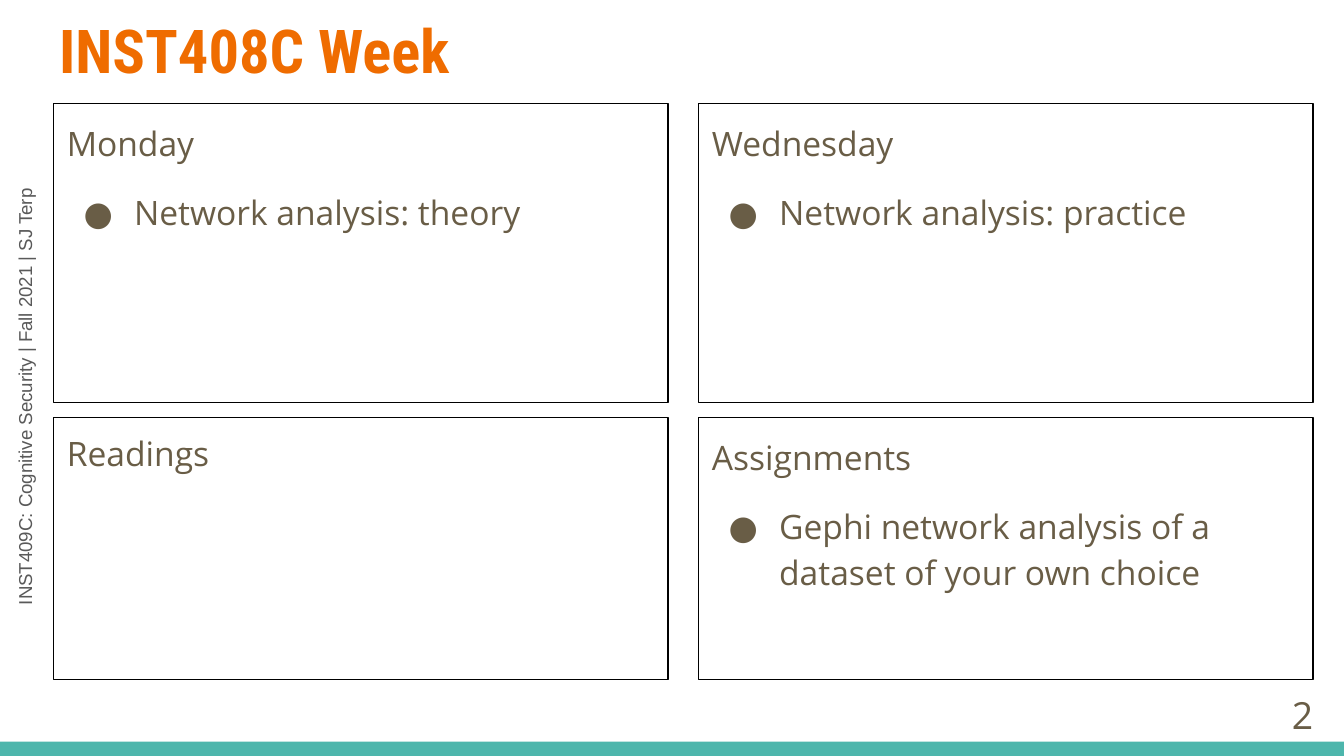
from lxml import etree
from pptx import Presentation
from pptx.dml.color import RGBColor
from pptx.enum import shapes, text
from pptx.oxml.ns import qn
from pptx.util import Pt

ORANGE = RGBColor(0xEF, 0x6C, 0x00)
BROWN = RGBColor(0x69, 0x5D, 0x46)
GREY = RGBColor(0x59, 0x59, 0x59)
TEAL = RGBColor(0x4D, 0xB6, 0xAC)
BLACK = RGBColor(0, 0, 0)


def write(p, words, font="Open Sans", size=18, color=BROWN, bold=False,
          align=text.PP_ALIGN.LEFT, spacing=1.0, before=0, bullet=False):
    pPr = p._p.get_or_add_pPr()
    pPr.set("marL", str(Pt(36) if bullet else 0))
    pPr.set("indent", str(Pt(-27) if bullet else 0))
    if bullet:
        clr = etree.SubElement(pPr, qn("a:buClr"))
        etree.SubElement(clr, qn("a:srgbClr"), val=str(color))
        etree.SubElement(pPr, qn("a:buFont"), typeface=font)
        etree.SubElement(pPr, qn("a:buChar"), char="●")
    else:
        etree.SubElement(pPr, qn("a:buNone"))
    p.alignment = align
    p.line_spacing = spacing
    p.space_before = Pt(before)
    r = p.add_run()
    r.text = words
    r.font.name = font
    r.font.size = Pt(size)
    r.font.bold = bold
    r.font.color.rgb = color


def frame(sp, left, top, width, height, anchor=text.MSO_ANCHOR.TOP):
    """Place a shape and return its text frame with even insets."""
    sp.left, sp.top, sp.width, sp.height = Pt(left), Pt(top), Pt(width), Pt(height)
    tf = sp.text_frame
    tf.word_wrap = True
    tf.auto_size = text.MSO_AUTO_SIZE.NONE
    tf.vertical_anchor = anchor
    tf.margin_left = tf.margin_right = tf.margin_top = tf.margin_bottom = Pt(7.2)
    return tf


prs = Presentation()
prs.slide_width, prs.slide_height = Pt(720), Pt(405)
s = prs.slides.add_slide(prs.slide_layouts.get_by_name("Comparison"))

# Course label up the left edge and band along the bottom
label = s.shapes.add_textbox(0, 0, 0, 0)
label.rotation = 270
tf = frame(label, -115.2, 189.4, 257, 26.6)
write(tf.paragraphs[0], "INST409C: Cognitive Security | Fall 2021 | SJ Terp",
      font="Arial", size=10, color=GREY)

band = s.shapes.add_shape(shapes.MSO_SHAPE.RECTANGLE, 0, Pt(397.4), Pt(720), Pt(7.6))
band.shadow.inherit = False
band.fill.solid()
band.fill.fore_color.rgb = TEAL
band.line.fill.background()

tf = frame(s.shapes.title, 24.5, 0, 671, 55.4)
write(tf.paragraphs[0], "INST408C Week", font="Roboto Condensed", size=32.4,
      color=ORANGE, bold=True)

# Two by two grid of panels: heading, list item, line spacing
COLUMNS = [28.6, 374.2]
ROWS = [(55.6, 160), (223.8, 140.2)]
PANELS = [
    ("Monday", "Network analysis: theory", 1.15),
    ("Wednesday", "Network analysis: practice", 1.15),
    ("Readings", None, 1.05),
    ("Assignments", "Gephi network analysis of a dataset of your own choice", 1.15),
]
bodies = [sp for sp in s.placeholders if sp.placeholder_format.idx > 0]
for i, (sp, (heading, item, spacing)) in enumerate(zip(bodies, PANELS)):
    top, height = ROWS[i // 2]
    tf = frame(sp, COLUMNS[i % 2], top, 329.3, height)
    sp.line.color.rgb = BLACK
    sp.line.width = Pt(0.75)
    write(tf.paragraphs[0], heading, spacing=spacing)
    if item:
        write(tf.add_paragraph(), item, spacing=spacing, before=12, bullet=True)

number = s.shapes.add_textbox(0, 0, 0, 0)
tf = frame(number, 667.4, 367.2, 43.2, 31, anchor=text.MSO_ANCHOR.MIDDLE)
write(tf.paragraphs[0], "2", size=20, align=text.PP_ALIGN.RIGHT)

prs.save("out.pptx")
